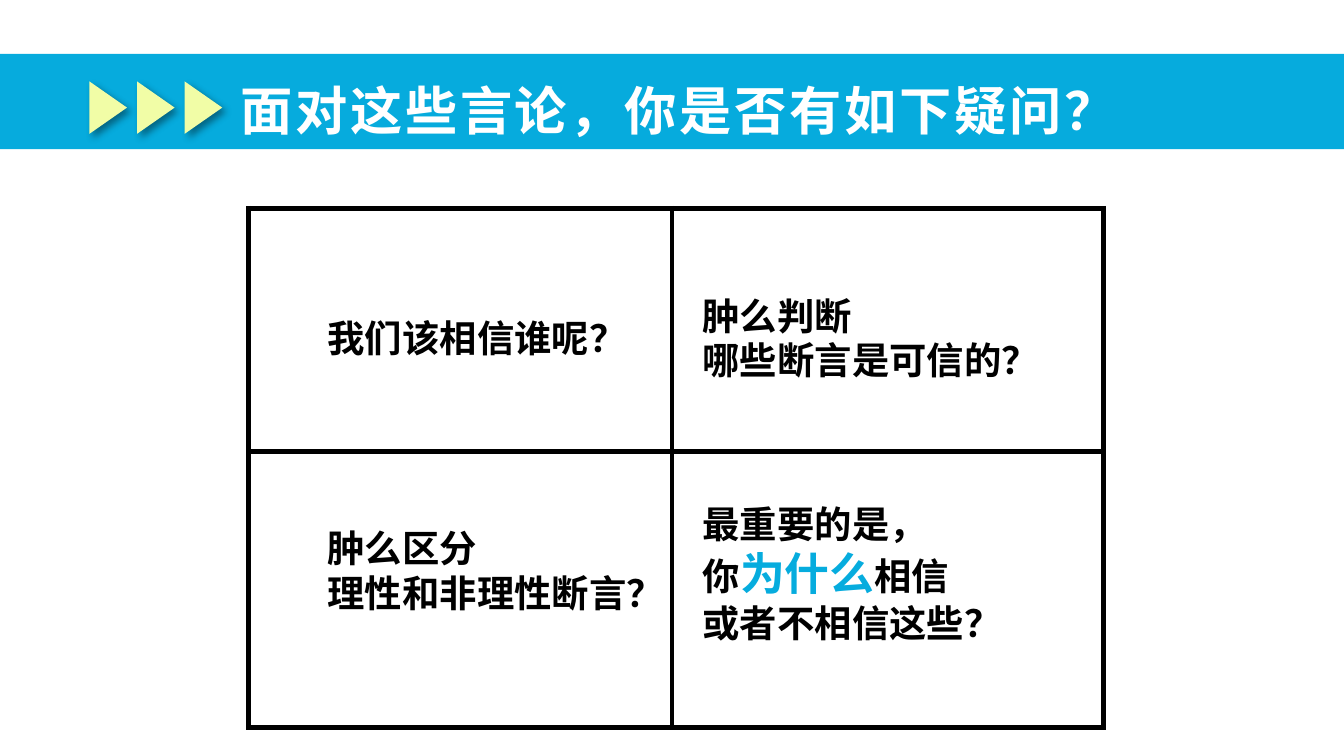
from lxml.etree import SubElement
from pptx import Presentation
from pptx.dml.color import RGBColor
from pptx.enum.shapes import MSO_SHAPE
from pptx.enum.text import MSO_AUTO_SIZE, PP_ALIGN
from pptx.oxml.ns import qn
from pptx.util import Cm, Pt

FONT = "Noto Sans CJK SC"
BLUE, HIGHLIGHT, YELLOW = "06ABDD", "06ACDE", "F1FDA6"
BLACK, WHITE = "000000", "FFFFFF"
LINE_HEIGHT = 1.2

TITLE = "面对这些言论，你是否有如下疑问？"
TITLE_BOX = (4.29, 1.35, 17.4, 1.45)

# Each paragraph is a list of (text, size, colour) runs.
QUESTIONS = [
    {"box": (5.72, 5.84, 6.6, 1.12), "align": PP_ALIGN.CENTER,
     "paras": [[("我们该相信谁呢？", 20, BLACK)]]},
    {"box": (13.03, 5.41, 6.96, 1.96), "wrap": False,
     "paras": [[("肿么判断", 20, BLACK)],
               [("哪些断言是可信的？", 20, BLACK)]]},
    {"box": (5.94, 9.8, 8.71, 1.96),
     "paras": [[("肿么区分", 20, BLACK)],
               [("理性和非理性断言？", 20, BLACK)]]},
    {"box": (13.03, 9.35, 6.25, 3), "wrap": False,
     "paras": [[("最重要的是，", 20, BLACK)],
               [("你", 20, BLACK), ("为什么", 24, HIGHLIGHT), ("相信", 20, BLACK)],
               [("或者不相信这些？", 20, BLACK)]]},
]

GRID_LEFT, GRID_TOP = 4.7, 3.94
COLUMNS, ROWS = (8, 8.15), (4.6, 5.21)

ARROW_LEFT, ARROW_TOP, ARROW_STEP = 1.55, 1.68, 0.9
ARROW_WIDTH, ARROW_HEIGHT = 0.99, 0.71


def rgb(value):
    return RGBColor.from_string(value)


def add_filled(page, kind, box, color):
    shape = page.shapes.add_shape(kind, *map(Cm, box))
    shape.shadow.inherit = False
    shape.fill.solid()
    shape.fill.fore_color.rgb = rgb(color)
    shape.line.fill.background()
    return shape


def add_shadow(shape):
    effects = shape._element.spPr.find(qn("a:effectLst"))
    shadow = SubElement(effects, qn("a:outerShdw"), blurRad=str(Pt(4)),
                        dist=str(Pt(3)), dir=str(45 * 60000), rotWithShape="0")
    color = SubElement(shadow, qn("a:srgbClr"), val=BLACK)
    SubElement(color, qn("a:alpha"), val="40000")


def add_text(page, box, paras, align=None, wrap=True, spacing=None):
    """Add a bold text box; spacing is the gap between letters in points."""
    frame = page.shapes.add_textbox(*map(Cm, box)).text_frame
    frame.word_wrap = wrap
    frame.auto_size = MSO_AUTO_SIZE.SHAPE_TO_FIT_TEXT
    for index, runs in enumerate(paras):
        para = frame.add_paragraph() if index else frame.paragraphs[0]
        para.alignment = align
        para.line_spacing = Pt(LINE_HEIGHT * max(size for _, size, _ in runs))
        for text, size, color in runs:
            span = para.add_run()
            span.text = text
            span.font.size = Pt(size)
            span.font.bold = True
            span.font.color.rgb = rgb(color)
            span.font.name = FONT
            properties = span.font._element
            SubElement(properties, qn("a:ea"), typeface=FONT)
            if spacing:
                properties.set("spc", str(int(spacing * 100)))


def add_borders(cell):
    properties = cell._tc.get_or_add_tcPr()
    for side in ("lnL", "lnR", "lnT", "lnB"):
        line = SubElement(properties, qn(f"a:{side}"), w=str(Pt(3)))
        fill = SubElement(line, qn("a:solidFill"))
        SubElement(fill, qn("a:srgbClr"), val=BLACK)


def add_grid(page):
    table = page.shapes.add_table(
        len(ROWS), len(COLUMNS), Cm(GRID_LEFT), Cm(GRID_TOP),
        Cm(sum(COLUMNS)), Cm(sum(ROWS))).table
    table.first_row = table.horz_banding = False
    for column, width in zip(table.columns, COLUMNS):
        column.width = Cm(width)
    for row, height in zip(table.rows, ROWS):
        row.height = Cm(height)
    for cell in table.iter_cells():
        add_borders(cell)
        cell.fill.background()


def main():
    deck = Presentation()
    deck.slide_width, deck.slide_height = Cm(25.4), Cm(14.29)
    page = deck.slides.add_slide(deck.slide_layouts[6])

    add_filled(page, MSO_SHAPE.RECTANGLE, (0, 1.02, 26.11, 1.8), BLUE)
    for index in range(3):
        left = ARROW_LEFT + index * ARROW_STEP
        arrow = add_filled(page, MSO_SHAPE.ISOSCELES_TRIANGLE,
                           (left, ARROW_TOP, ARROW_WIDTH, ARROW_HEIGHT), YELLOW)
        arrow.rotation = 90
        add_shadow(arrow)

    add_grid(page)
    add_text(page, TITLE_BOX, [[(TITLE, 28, WHITE)]], spacing=1.5)
    for question in QUESTIONS:
        add_text(page, **question)
    deck.save("out.pptx")


if __name__ == "__main__":
    main()
